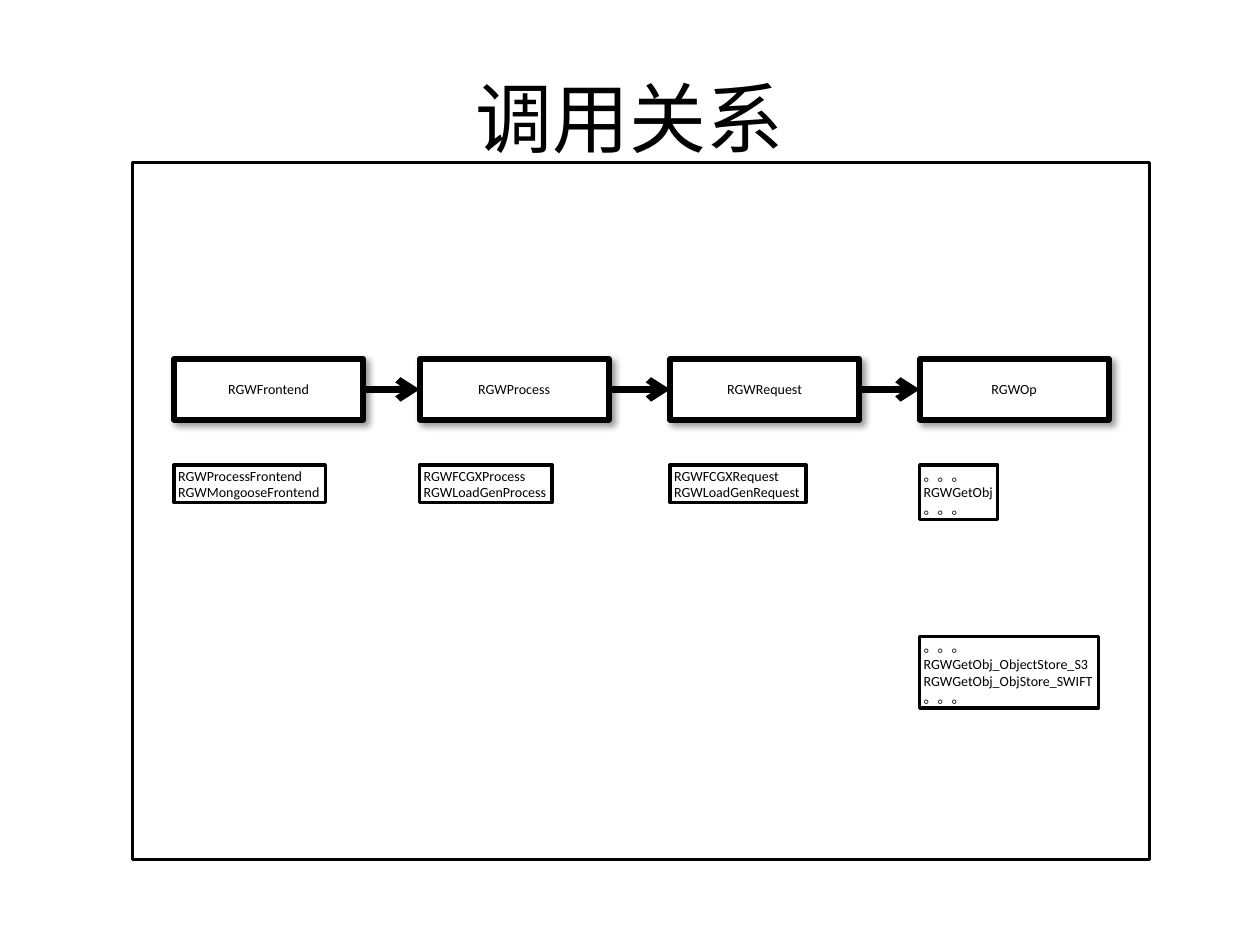
from lxml.etree import SubElement
from pptx import Presentation
from pptx.dml.color import RGBColor
from pptx.enum.shapes import MSO_CONNECTOR, MSO_SHAPE
from pptx.enum.text import MSO_ANCHOR, MSO_AUTO_SIZE, PP_ALIGN
from pptx.oxml.ns import qn
from pptx.util import Cm, Pt

HUES = {"ink": "000000", "paper": "FFFFFF"}
INSET = {"margin_left": Cm(0.08), "margin_right": Cm(0.08),
         "margin_top": Cm(0.05), "margin_bottom": Cm(0.05)}
STEP = {**INSET, "vertical_anchor": MSO_ANCHOR.MIDDLE, "word_wrap": True}
NOTE = {**INSET, "vertical_anchor": MSO_ANCHOR.TOP, "word_wrap": False,
        "auto_size": MSO_AUTO_SIZE.SHAPE_TO_FIT_TEXT}
DOTS = "。。。"

# Offset of each column in the frame, its class, and its notes (top, width, lines)
COLS = [
    (0.84, "RGWFrontend",
     [(6.09, 3.05, ["RGWProcessFrontend", "RGWMongooseFrontend"])]),
    (5.79, "RGWProcess",
     [(6.09, 2.67, ["RGWFCGXProcess", "RGWLoadGenProcess"])]),
    (10.84, "RGWRequest",
     [(6.09, 2.74, ["RGWFCGXRequest", "RGWLoadGenRequest"])]),
    (15.87, "RGWOp",
     [(6.09, 1.57, [DOTS, "RGWGetObj", DOTS]),
      (9.55, 3.61, [DOTS, "RGWGetObj_ObjectStore_S3",
                    "RGWGetObj_ObjStore_SWIFT", DOTS])]),
]


def hue(name):
    return RGBColor.from_string(HUES[name])


def write(frame, lines, size, align, style):
    for key, val in style.items():
        setattr(frame, key, val)
    frame.text = "\n".join(lines)
    look = {"name": "Calibri", "size": Pt(size)}
    for para in frame.paragraphs:
        para.alignment = align
        for run in para.runs:
            for key, val in look.items():
                setattr(run.font, key, val)
            run.font.color.rgb = hue("ink")


def add_box(slide, box, width, fill=True):
    rect = slide.shapes.add_shape(MSO_SHAPE.RECTANGLE, *map(Cm, box))
    rect.shadow.inherit = False
    if fill:
        rect.fill.solid()
        rect.fill.fore_color.rgb = hue("paper")
    else:
        rect.fill.background()
    rect.line.color.rgb = hue("ink")
    rect.line.width = Pt(width)
    return rect


def add_shade(rect):
    fx = rect._element.spPr.find(qn("a:effectLst"))
    shade = SubElement(fx, qn("a:outerShdw"), blurRad=str(Pt(4)),
                       dist=str(Pt(3)), dir=str(45 * 60000),
                       algn="tl", rotWithShape="0")
    tint = SubElement(shade, qn("a:srgbClr"), val=HUES["ink"])
    SubElement(tint, qn("a:alpha"), val="40000")


def add_arrow(slide, start, end):
    link = slide.shapes.add_connector(MSO_CONNECTOR.STRAIGHT, 0, 0, 0, 0)
    link.begin_connect(start, 3)
    link.end_connect(end, 1)
    link.line.color.rgb = hue("ink")
    link.line.width = Pt(4)
    SubElement(link.line._get_or_add_ln(), qn("a:tailEnd"), type="arrow")
    SubElement(link._element.spPr, qn("a:effectLst"))


def add_title(slide, box, text):
    title = slide.shapes.title
    for key, val in zip(("left", "top", "width", "height"), box):
        setattr(title, key, Cm(val))
    write(title.text_frame, [text], 44, PP_ALIGN.CENTER,
          {"vertical_anchor": MSO_ANCHOR.MIDDLE})


def add_chain(slide, box):
    left, top = box[:2]
    add_box(slide, box, 2)
    steps = []
    for dx, name, notes in COLS:
        # Class in the call chain
        step = add_box(slide, (left + dx, top + 3.96, 3.81, 1.22), 3.5)
        add_shade(step)
        write(step.text_frame, [name], 8, PP_ALIGN.CENTER, STEP)
        steps.append(step)
        # Its derived classes
        for dy, wide, lines in notes:
            high = 0.08 + 0.34 * len(lines)
            note = add_box(slide, (left + dx, top + dy, wide, high), 2, False)
            write(note.text_frame, lines, 8, PP_ALIGN.LEFT, NOTE)
    # Calls from each class to the next
    for start, end in zip(steps, steps[1:]):
        add_arrow(slide, start, end)


def main():
    deck = Presentation()
    deck.slide_width, deck.slide_height = Cm(25.4), Cm(19.05)
    slide = deck.slides.add_slide(deck.slide_layouts[5])
    add_title(slide, (1.27, 0.76, 22.86, 3.18), "调用关系")
    add_chain(slide, (2.67, 3.28, 20.5, 14.05))
    deck.save("out.pptx")


if __name__ == "__main__":
    main()
